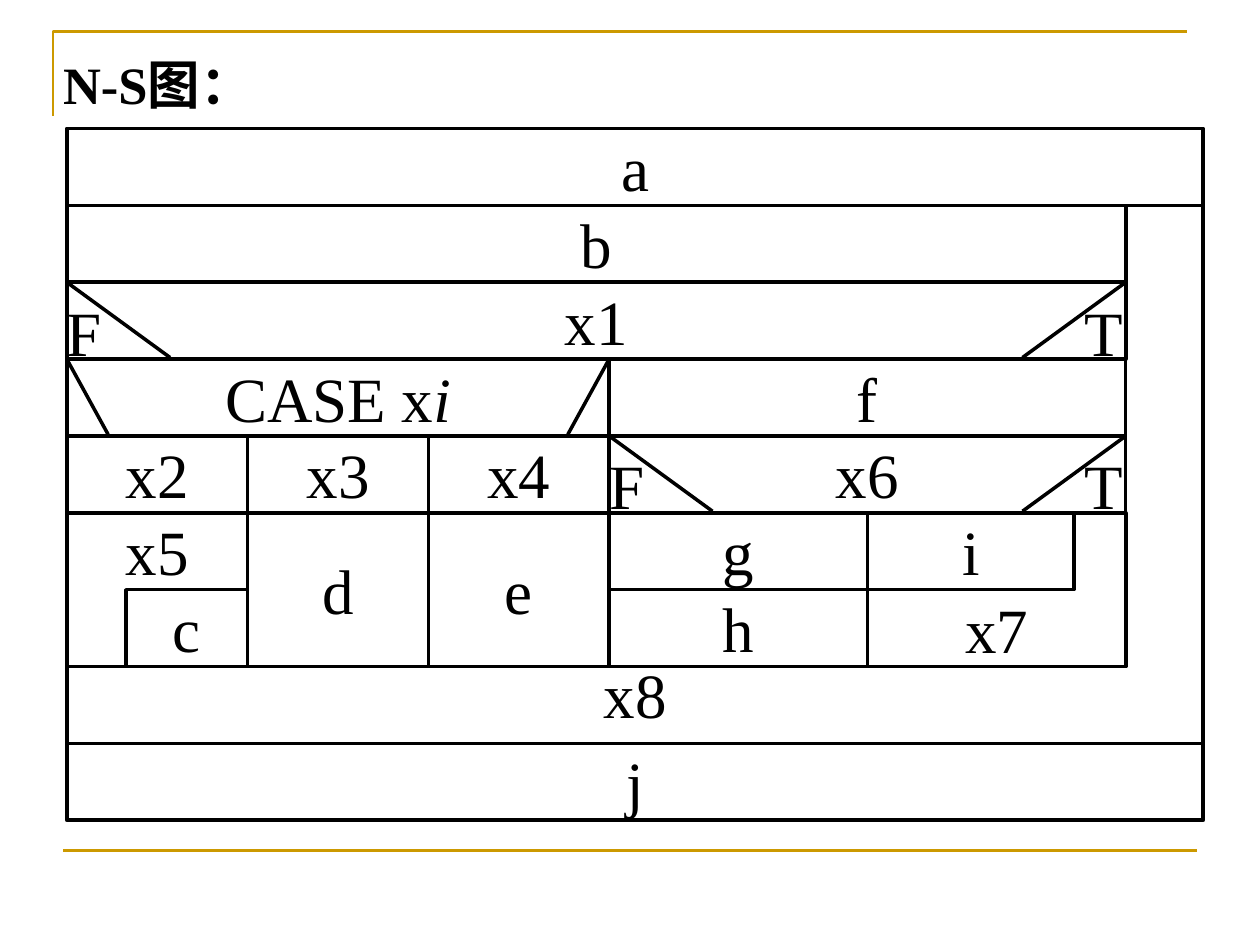
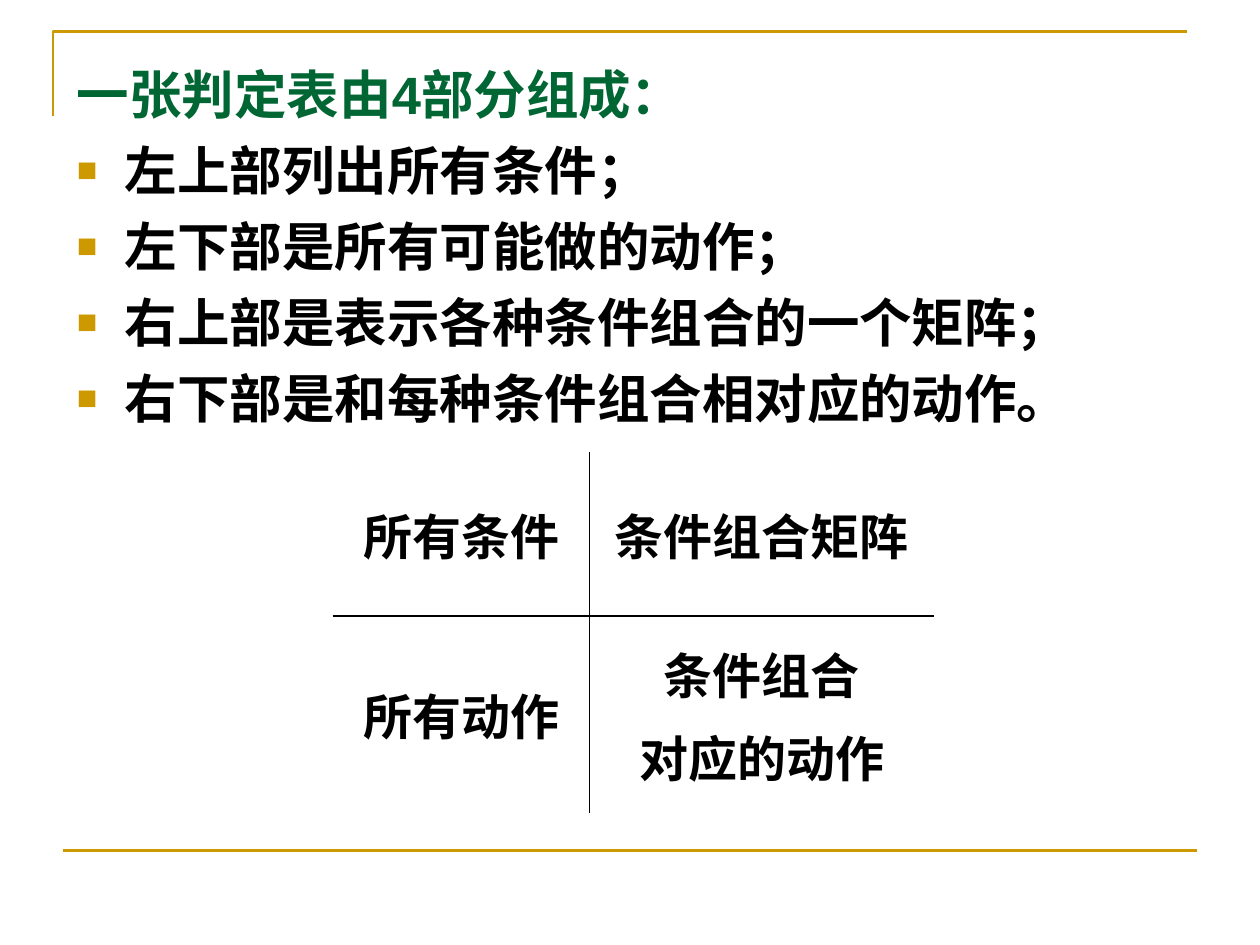
from lxml.etree import SubElement as Sub
from pptx import Presentation
from pptx.dml.color import RGBColor
from pptx.enum.shapes import MSO_CONNECTOR as Conn, MSO_SHAPE as Shape
from pptx.enum.text import MSO_ANCHOR as Anchor, MSO_AUTO_SIZE as Fit, PP_ALIGN as Align
from pptx.oxml.ns import qn
from pptx.util import Inches, Pt

BLACK, WHITE, GOLD, GREEN = "000000", "FFFFFF", "CC9900", "006633"
SERIF, SANS = "Times New Roman", "Arial"
HANG = 0.38


def tint(code):
    return RGBColor.from_string(code)


def put(frame, text, size=36, font=SERIF, color=BLACK, bold=False, tail="",
        align=Align.LEFT, anchor=Anchor.TOP, inset=(0, 0, 0, 0), before=0):
    """Fill a text frame, one paragraph a line; tail is an italic ending."""
    frame.word_wrap = True
    frame.vertical_anchor = anchor
    (frame.margin_left, frame.margin_top,
     frame.margin_right, frame.margin_bottom) = map(Inches, inset)
    for num, line in enumerate(text.split("\n")):
        para = frame.add_paragraph() if num else frame.paragraphs[0]
        para.alignment = align
        para.space_before = Pt(before)
        for part, slant in ((line, False), (tail, True)):
            if part:
                run = para.add_run()
                run.text = part
                look = run.font
                look.size, look.name = Pt(size), font
                look.bold, look.italic = bold, slant
                look.color.rgb = tint(color)


def rule(slide, x1, y1, x2, y2, color=BLACK, width=2):
    line = slide.shapes.add_connector(Conn.STRAIGHT, *map(Inches, (x1, y1, x2, y2)))
    line.line.color.rgb = tint(color)
    line.line.width = Pt(width)
    Sub(line.element.spPr, qn("a:effectLst"))


def place(shape, *box):
    shape.left, shape.top, shape.width, shape.height = map(Inches, box)
    shape.text_frame.auto_size = Fit.NONE
    return shape.text_frame


def hang(para, mark=False):
    """Indent a paragraph by a hanging step, with a square bullet if marked."""
    prop = para._p.get_or_add_pPr()
    prop.set("marL", str(Inches(HANG)))
    prop.set("indent", str(-Inches(HANG)))
    if not mark:
        Sub(prop, qn("a:buNone"))
        return
    Sub(Sub(prop, qn("a:buClr")), qn("a:srgbClr"), val=GOLD)
    Sub(prop, qn("a:buSzPct"), val="65000")
    Sub(prop, qn("a:buFont"), typeface=SANS)
    Sub(prop, qn("a:buChar"), char="■")


def trim(slide):
    """Gold corner at the top and gold rule at the foot of every slide."""
    pen = slide.shapes.build_freeform(Inches(0.42), Inches(0.92))
    pen.add_line_segments([(Inches(x), Inches(0.25)) for x in (0.42, 9.42)], close=False)
    edge = pen.convert_to_shape()
    edge.shadow.inherit = False
    edge.fill.background()
    edge.line.color.rgb = tint(GOLD)
    edge.line.width = Pt(1.5)
    rule(slide, 0.5, 6.75, 9.5, 6.75, GOLD, 1.5)


# The N-S chart: 22 columns by 9 rows
def chart(slide, left, top, col, row):
    def spot(c, r):
        return left + c * col, top + r * row

    def cell(c, r, wide, high, text, **fmt):
        x, y = spot(c, r)
        box = slide.shapes.add_shape(
            Shape.RECTANGLE, *map(Inches, (x, y, wide * col, high * row)))
        box.shadow.inherit = False
        box.fill.solid()
        box.fill.fore_color.rgb = tint(WHITE)
        box.line.color.rgb = tint(BLACK)
        box.line.width = Pt(2)
        put(box.text_frame, text, align=Align.CENTER, **fmt)

    def slants(c, r, wide, run):
        for start, step in ((c, run), (c + wide, -run)):
            rule(slide, *spot(start, r), *spot(start + step, r + 0.98))

    def branch(c, r, wide, text):
        cell(c, r, wide, 1, text)
        slants(c, r, wide, 2)
        for at, sign in ((c, "F"), (c + wide - 0.8, "T")):
            x, y = spot(at, r + 0.14)
            note = slide.shapes.add_textbox(*map(Inches, (x, y, col, 0.51)))
            put(note.text_frame, sign)

    body, half, third = 20.5, 10.5, 3.5

    # Sequence and outer loop
    cell(0, 1, 22, 7, "x8", anchor=Anchor.BOTTOM, inset=(0, 0, 0, 0.1))
    cell(0, 0, 22, 1, "a")
    cell(0, 8, 22, 1, "j")
    cell(0, 1, body, 1, "b")
    branch(0, 2, body, "x1")

    # True side: nested branch with inner loop
    cell(half, 3, 10, 1, "f")
    branch(half, 4, 10, "x6")
    cell(half, 5, 5, 1, "g")
    cell(half, 6, 5, 1, "h")
    cell(half + 5, 5, 5, 2, "x7", anchor=Anchor.BOTTOM)
    cell(half + 5, 5, 4, 1, "i")

    # False side: case with three arms
    cell(0, 3, half, 1, "CASE x", tail="i")
    slants(0, 3, half, 0.8)
    for num, (test, act) in enumerate((("x2", "x5"), ("x3", "d"), ("x4", "e"))):
        cell(num * third, 4, third, 1, test)
        cell(num * third, 5, third, 2, act,
             anchor=Anchor.MIDDLE if num else Anchor.TOP)
    cell(1.15, 6, third - 1.15, 1, "c")


# The list of parts
def points(slide, head, items, *box):
    frame = place(slide.placeholders[1], *box)
    put(frame, "\n".join([head] + items), size=30, font=SANS, bold=True,
        inset=(0.1, 0.05, 0.1, 0.05), before=7.5)
    for num, para in enumerate(frame.paragraphs):
        hang(para, mark=num > 0)
    frame.paragraphs[0].runs[0].font.color.rgb = tint(GREEN)


# The four quarters, parted by a cross
def cross(slide, rows, left, top, wides, highs):
    table = slide.shapes.add_table(2, 2, *map(
        Inches, (left, top, sum(wides), sum(highs)))).table
    table.first_row = table.horz_banding = False
    for num in range(2):
        table.columns[num].width = Inches(wides[num])
        table.rows[num].height = Inches(highs[num])
    for r, words in enumerate(rows):
        for c, text in enumerate(words):
            cell = table.cell(r, c)
            put(cell.text_frame, text, size=28, bold=True,
                align=Align.CENTER, before=7)
            cell.vertical_anchor = Anchor.MIDDLE
            cell.margin_left = cell.margin_right = Inches(0.1)
            cell.margin_top = cell.margin_bottom = Inches(0.05)
            prop = cell._tc.get_or_add_tcPr()
            inner = ("R" if c == 0 else "L", "B" if r == 0 else "T")
            for side in "LRTB":
                edge = Sub(prop, qn("a:ln" + side), w=str(Pt(0.96)))
                if side in inner:
                    Sub(Sub(edge, qn("a:solidFill")), qn("a:srgbClr"), val=BLACK)
                else:
                    Sub(edge, qn("a:noFill"))
            cell.fill.background()


deck = Presentation()
deck.slide_width, deck.slide_height = Inches(10), Inches(7.5)

# Slide 1: N-S chart
slide = deck.slides.add_slide(deck.slide_layouts[5])
trim(slide)
title = place(slide.shapes.title, 0.5, 0.36, 2.02, 0.67)
put(title, "N-S图：", size=30, bold=True, inset=(0, 0.05, 0, 0.05), before=7.5)
hang(title.paragraphs[0])
chart(slide, 0.53, 1.02, 0.41, 0.61)

# Slide 2: decision table
slide = deck.slides.add_slide(deck.slide_layouts[1])
trim(slide)
title = slide.shapes.title.element
title.getparent().remove(title)
points(slide, "一张判定表由4部分组成：", [
    "左上部列出所有条件；",
    "左下部是所有可能做的动作；",
    "右上部是表示各种条件组合的一个矩阵；",
    "右下部是和每种条件组合相对应的动作。",
], 0.51, 0.44, 9, 3.47)
cross(slide, [("所有条件", "条件组合矩阵"), ("所有动作", "条件组合\n对应的动作")],
      2.64, 3.59, (2.04, 2.73), (1.3, 1.56))

deck.save("out.pptx")
